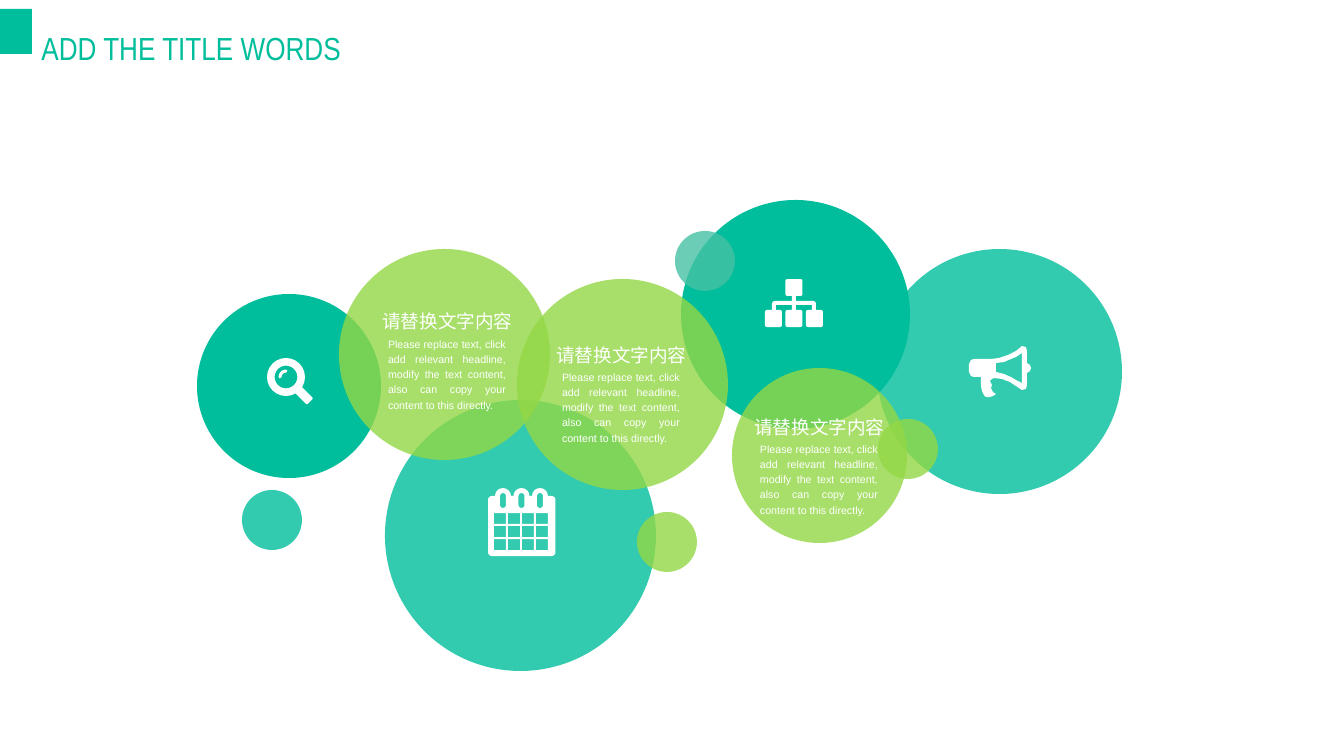
from dataclasses import dataclass
from math import cos, radians, sin

from lxml.etree import SubElement
from pptx import Presentation
from pptx.dml.color import RGBColor
from pptx.enum.shapes import MSO_SHAPE
from pptx.enum.text import MSO_ANCHOR, MSO_AUTO_SIZE, PP_ALIGN
from pptx.oxml.ns import qn
from pptx.util import Pt

PX = 914400 / 95.6
FINE = 100


@dataclass(frozen=True)
class Theme:
    teal: str = "00BE9B"
    mint: str = "46C1A4"
    lime: str = "93D845"
    white: str = "FFFFFF"
    title_size: int = 24
    heading_size: int = 14
    body_size: int = 8
    title_font: str = "Arial Narrow"
    text_font: str = "Arial"


THEME = Theme()
HEADING = "请替换文字内容"
BODY = ("Please replace text, click add relevant headline, modify the text "
        "content, also can copy your content to this directly.")
CAPTIONS = [(365, 306), (539, 339), (737, 411)]
HORN = [(1031, 368), (1030, 371), (1027, 373), (1027, 385), (1026, 389), (1022, 390),
        (1016, 386), (1010, 382), (1002, 379), (994, 378), (992, 379), (990, 381),
        (991, 383), (992, 385), (991, 388), (993, 392), (996, 394), (993, 396),
        (990, 397), (986, 397), (984, 395), (982, 391), (981, 386), (981, 377),
        (974, 377), (971, 376), (969, 372), (969, 364), (971, 360), (974, 359),
        (991, 359), (999, 358), (1008, 355), (1016, 351), (1022, 346), (1026, 347),
        (1027, 351), (1027, 363), (1030, 365)]
HORN_HOLE = [(1022, 353), (1016, 357), (1011, 359), (1004, 362), (996, 363),
             (996, 372), (1004, 374), (1011, 377), (1016, 380), (1022, 383)]


def emu(*lengths):
    return [round(length * PX) for length in lengths]


def paint(shape, colour, opacity=100):
    shape.shadow.inherit = False
    shape.line.fill.background()
    shape.fill.solid()
    shape.fill.fore_color.rgb = RGBColor.from_string(colour)
    if opacity < 100:
        colour_node = shape.fill._xPr.find(qn("a:solidFill"))[0]
        SubElement(colour_node, qn("a:alpha")).set("val", str(opacity * 1000))
    return shape


def add_block(page, kind, left, top, width, height, colour, opacity=100):
    shape = page.shapes.add_shape(kind, *emu(left, top, width, height))
    return paint(shape, colour, opacity)


def add_circle(page, left, top, size, colour, opacity=80):
    return add_block(page, MSO_SHAPE.OVAL, left, top, size, size, colour, opacity)


def add_outline(page, contours, colour):
    fine = [[(x * FINE, y * FINE) for x, y in contour] for contour in contours]
    builder = page.shapes.build_freeform(*fine[0][0], scale=PX / FINE)
    builder.add_line_segments(fine[0][1:])
    for contour in fine[1:]:
        builder.move_to(*contour[0])
        builder.add_line_segments(contour[1:])
    return paint(builder.convert_to_shape(), colour)


def write(box, text, *, size, colour, font, spacing=1.2, align=PP_ALIGN.LEFT, inset=None):
    frame = box.text_frame
    frame.word_wrap = True
    frame.auto_size = MSO_AUTO_SIZE.SHAPE_TO_FIT_TEXT
    frame.vertical_anchor = MSO_ANCHOR.TOP
    if inset is not None:
        frame.margin_left = frame.margin_right = inset
        frame.margin_top = frame.margin_bottom = inset
    para = frame.paragraphs[0]
    para.alignment = align
    para.line_spacing = spacing
    span = para.add_run()
    span.text = text
    span.font.size = Pt(size)
    span.font.name = font
    span.font.color.rgb = RGBColor.from_string(colour)


def add_label(page, text, left, top, width, height, size, align):
    label = add_block(page, MSO_SHAPE.RECTANGLE, left, top, width, height, THEME.white)
    label.fill.background()
    write(label, text, size=size, align=align, colour=THEME.white,
          font=THEME.text_font, inset=0)


def add_caption(page, left, top):
    add_label(page, HEADING, left, top, 165, 25, THEME.heading_size, PP_ALIGN.CENTER)
    add_label(page, BODY, left + 23, top + 29, 118, 76, THEME.body_size, PP_ALIGN.JUSTIFY)


def arc(x, y, radius, start, end):
    steps = 8
    angles = [radians(start + (end - start) * step / steps) for step in range(steps + 1)]
    return [(x + radius * cos(angle), y + radius * sin(angle)) for angle in angles]


def rounded(left, top, width, height, radius):
    near, far = left + radius, left + width - radius
    high, low = top + radius, top + height - radius
    return (arc(near, high, radius, 180, 270) + arc(far, high, radius, 270, 360)
            + arc(far, low, radius, 0, 90) + arc(near, low, radius, 90, 180))


def add_hierarchy(page):
    boxes = [rounded(x, y, 17, 17, 2)
             for x, y in [(785.5, 279), (765, 310), (785.5, 310), (806, 310)]]
    branches = [(792, 296), (796, 296), (796, 301)]
    branches += arc(813, 304, 3, 270, 360) + [(816, 310), (812, 310), (812, 305)]
    branches += [(796, 305), (796, 310), (792, 310), (792, 305)]
    branches += [(776, 305), (776, 310), (772, 310)]
    branches += arc(775, 304, 3, 180, 270) + [(792, 301)]
    add_outline(page, [*boxes, branches], THEME.white)


def add_magnifier(page):
    lens = add_block(page, MSO_SHAPE.DONUT, 267, 358, 38, 38, THEME.white)
    lens.adjustments[0] = 0.2
    handle = add_block(page, MSO_SHAPE.ROUNDED_RECTANGLE, 293, 390, 20, 9, THEME.white)
    handle.rotation = 45
    glint = add_block(page, MSO_SHAPE.ARC, 280, 371, 12, 12, THEME.white)
    glint.fill.background()
    glint.adjustments[0] = 108
    glint.adjustments[1] = 162
    glint.line.color.rgb = RGBColor.from_string(THEME.white)
    glint.line.width = round(3 * PX)
    glint.line._get_or_add_ln().set("cap", "rnd")


def add_calendar(page):
    rings = [503, 521.5, 540]
    body = arc(492, 500, 4, 180, 270)
    for ring in rings:
        body += arc(ring, 496, 8, 180, 360)
    body += arc(551.5, 500, 4, 270, 360)
    body += arc(551.5, 552, 4, 0, 90) + arc(492, 552, 4, 90, 180)
    slots = [rounded(ring - 3, 493, 6, 15, 3) for ring in rings]
    cells = [[(x, y), (x + 12, y), (x + 12, y + 11), (x, y + 11)]
             for y in range(513, 550, 13) for x in range(494, 540, 14)]
    add_outline(page, [body, *slots, *cells], THEME.white)


def main():
    deck = Presentation()
    deck.slide_width, deck.slide_height = emu(1344, 756)
    page = deck.slides.add_slide(deck.slide_layouts[6])

    add_block(page, MSO_SHAPE.RECTANGLE, 0, 9, 32, 45, THEME.teal)
    add_circle(page, 681, 200, 229, THEME.teal, 100)
    add_hierarchy(page)
    add_circle(page, 197, 294, 184, THEME.teal, 100)
    add_magnifier(page)
    add_circle(page, 877, 249, 245, THEME.teal)
    add_outline(page, [HORN, HORN_HOLE], THEME.white)
    add_circle(page, 385, 400, 271, THEME.teal)
    add_calendar(page)
    for left, top, size in [(339, 249, 211), (517, 279, 211), (732, 368, 175)]:
        add_circle(page, left, top, size, THEME.lime)
    for left, top in CAPTIONS:
        add_caption(page, left, top)
    for left, top, colour in [(675, 231, THEME.mint), (637, 512, THEME.lime),
                              (878, 419, THEME.lime), (242, 490, THEME.teal)]:
        add_circle(page, left, top, 60, colour)
    title = page.shapes.add_textbox(*emu(32, 5, 338, 60))
    write(title, "ADD THE TITLE WORDS", size=THEME.title_size, colour=THEME.teal,
          font=THEME.title_font, spacing=1.5)

    deck.save("out.pptx")


if __name__ == "__main__":
    main()
